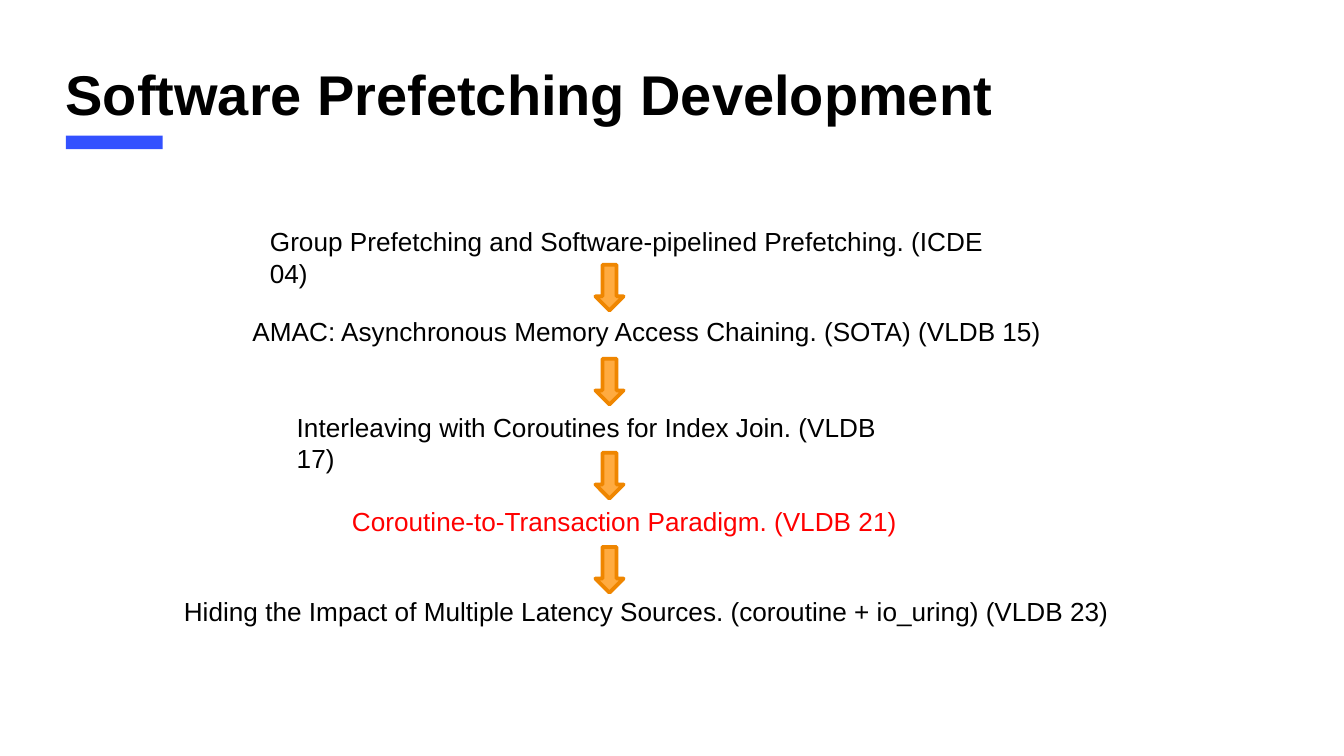
from pptx import Presentation, util as u
from pptx.dml.color import RGBColor
from pptx.enum import shapes, text

COLORS = {
    "ink": "000000",
    "highlight": "FF0000",
    "accent": "3351FF",
    "arrow": "FFAB40",
    "arrow_edge": "EF8600",
}
PAGE_WIDTH = 10
PAGE_HEIGHT = PAGE_WIDTH * 9 / 16
TITLE = "Software Prefetching Development"
# wording, left, top, width, colour
MILESTONES = [
    ("Group Prefetching and Software-pipelined Prefetching. (ICDE 04)", 1.91, 1.63, 5.82, "ink"),
    ("AMAC: Asynchronous Memory Access Chaining. (SOTA) (VLDB 15)", 1.78, 2.3, 6.29, "ink"),
    ("Interleaving with Coroutines for Index Join. (VLDB 17)", 2.11, 3.01, 4.84, "ink"),
    ("Coroutine-to-Transaction Paradigm. (VLDB 21)", 2.52, 3.71, 4.35, "highlight"),
    ("Hiding the Impact of Multiple Latency Sources. (coroutine + io_uring) (VLDB 23)",
     1.27, 4.38, 7.4, "ink"),
]
ROW_HEIGHT = 0.34
FIRST_ARROW, ARROW_PITCH = 1.97, 0.7

TITLE_FONT = {"name": "Arial", "size": u.Pt(30), "bold": True}
BODY_FONT = {"name": "Arial", "size": u.Pt(14), "bold": False}
BODY_FRAME = {
    "word_wrap": True,
    "vertical_anchor": text.MSO_ANCHOR.TOP,
    "auto_size": text.MSO_AUTO_SIZE.SHAPE_TO_FIT_TEXT,
}
TITLE_FRAME = BODY_FRAME | {"auto_size": text.MSO_AUTO_SIZE.NONE} | {
    f"margin_{side}": u.Inches(0.1) for side in ("left", "top", "right", "bottom")
}


def color(name):
    return RGBColor.from_string(COLORS[name])


def inches(*lengths):
    return [u.Inches(length) for length in lengths]


def set_all(target, values):
    for name, value in values.items():
        setattr(target, name, value)


def add_text(page, wording, area, font, frame, ink="ink"):
    box = page.shapes.add_textbox(*inches(*area))
    set_all(box.text_frame, frame)
    span = box.text_frame.paragraphs[0].add_run()
    span.text = wording
    set_all(span.font, font)
    span.font.color.rgb = color(ink)


def add_block(page, kind, area, fill, edge=None):
    block = page.shapes.add_shape(kind, *inches(*area))
    block.shadow.inherit = False
    block.fill.solid()
    block.fill.fore_color.rgb = color(fill)
    if edge:
        block.line.color.rgb = color(edge)
        block.line.width = u.Pt(2)
    else:
        block.line.fill.background()


def main():
    deck = Presentation()
    deck.slide_width, deck.slide_height = inches(PAGE_WIDTH, PAGE_HEIGHT)
    page = deck.slides.add_slide(deck.slide_layouts[6])

    for wording, left, top, width, ink in MILESTONES:
        add_text(page, wording, (left, top, width, ROW_HEIGHT), BODY_FONT, BODY_FRAME, ink)

    add_text(page, TITLE, (0.39, 0.34, 7.58, 0.81), TITLE_FONT, TITLE_FRAME)
    add_block(page, shapes.MSO_SHAPE.RECTANGLE, (0.49, 1.01, 0.72, 0.1), "accent")

    for gap in range(len(MILESTONES) - 1):
        area = (4.43, FIRST_ARROW + gap * ARROW_PITCH, 0.21, 0.34)
        add_block(page, shapes.MSO_SHAPE.DOWN_ARROW, area, "arrow", "arrow_edge")

    deck.save("out.pptx")


if __name__ == "__main__":
    main()
